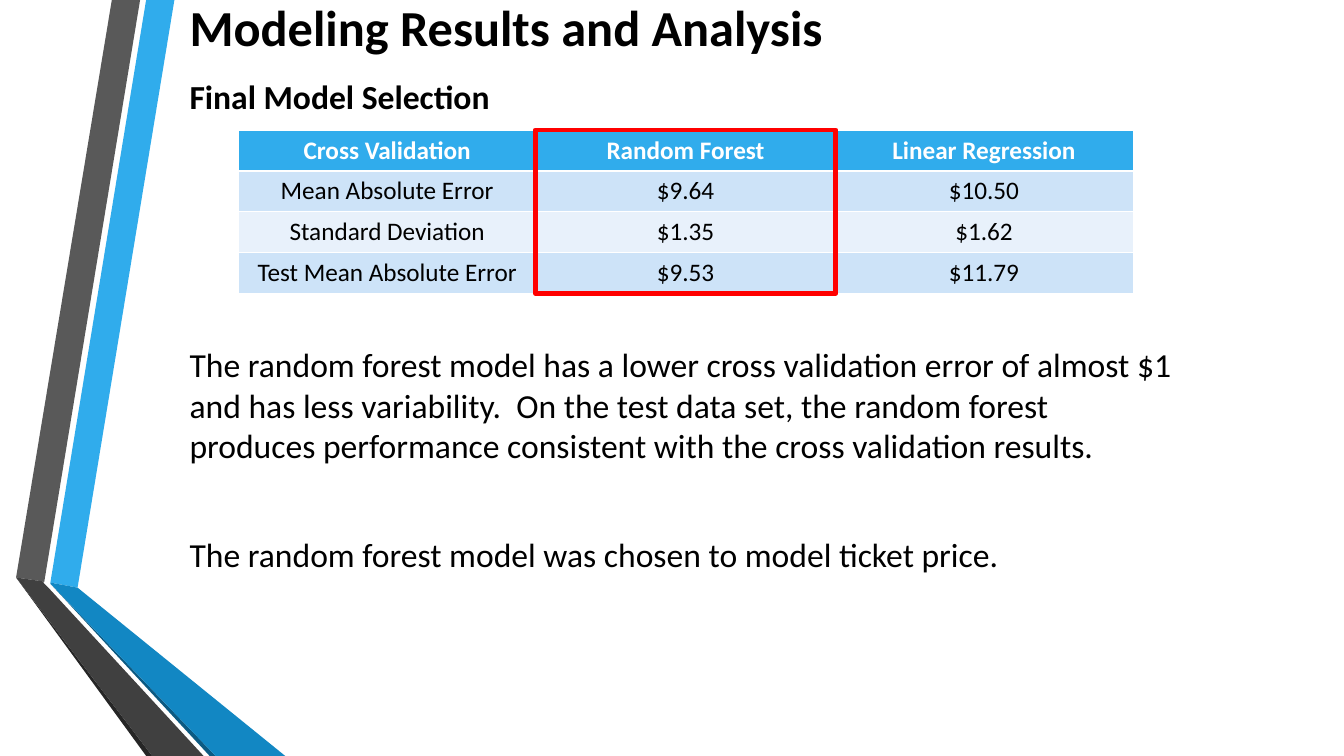
import pptx
import pptx.util
import pptx.dml.color
import pptx.enum.shapes
import pptx.enum.text
import lxml.etree

Inches, Pt = pptx.util.Inches, pptx.util.Pt

FONT = "Calibri"
COLORS = {
    "black": "000000", "white": "FFFFFF", "red": "FF0000",
    "blue": "30ACEC", "mid_blue": "1287C3", "deep_blue": "0C5A82",
    "gray": "595959", "dark_gray": "404040", "shadow_gray": "262626",
    "band": "CDE3F8", "light_band": "E8F1FB",
}

TITLE = "Modeling Results and Analysis"
BODY = [
    ("Final Model Selection", True, 0),
    ("The random forest model has a lower cross validation error of almost $1 "
     "and has less variability.  On the test data set, the random forest "
     "produces performance consistent with the cross validation results.", False, 163),
    ("The random forest model was chosen to model ticket price.", False, 49.5),
]
RESULTS = [
    ("Cross Validation", "Random Forest", "Linear Regression"),
    ("Mean Absolute Error", "$9.64", "$10.50"),
    ("Standard Deviation", "$1.35", "$1.62"),
    ("Test Mean Absolute Error", "$9.53", "$11.79"),
]
ROW_FILLS = ["blue", "band", "light_band", "band"]
RIBBONS = [
    ("blue", [(0.5, 5.78), (0.77, 5.83), (1.73, 0), (1.45, 0)]),
    ("gray", [(1.39, 0), (1.11, 0), (0.16, 5.73), (0.44, 5.77)]),
    ("shadow_gray", [(0.16, 5.73), (1.45, 7.5), (1.51, 7.5)]),
    ("deep_blue", [(0.5, 5.79), (2.08, 7.5), (2.14, 7.5)]),
    ("mid_blue", [(0.5, 5.79), (2.14, 7.5), (2.83, 7.5), (0.77, 5.83), (0.5, 5.78)]),
    ("dark_gray", [(2.02, 7.5), (0.48, 5.83), (0.43, 5.78), (0.44, 5.77),
                   (0.16, 5.73), (1.51, 7.5)]),
]
TABLE_LEFT, TABLE_TOP, COL_WIDTH, ROW_HEIGHT = 2.36, 1.29, 2.96, 0.405


def color(name):
    return pptx.dml.color.RGBColor.from_string(COLORS[name])


def fill(target, name):
    target.fill.solid()
    target.fill.fore_color.rgb = color(name)


def add_run(p, text, size, bold=False, name="black"):
    r = p.add_run()
    r.text = text
    r.font.name = FONT
    r.font.size = Pt(size)
    r.font.bold = bold
    r.font.color.rgb = color(name)


def place(sp, left, top, width, height, anchor, margin_top, margin_bottom):
    sp.left, sp.top, sp.width, sp.height = map(Inches, (left, top, width, height))
    tf = sp.text_frame
    tf.word_wrap = True
    tf.auto_size = pptx.enum.text.MSO_AUTO_SIZE.NONE
    tf.vertical_anchor = anchor
    tf.margin_top, tf.margin_bottom = Inches(margin_top), Inches(margin_bottom)
    return tf


def add_ribbon(s, name, points):
    corners = [(Inches(x), Inches(y)) for x, y in points]
    builder = s.shapes.build_freeform(*corners[0])
    builder.add_line_segments(corners[1:], close=True)
    sp = builder.convert_to_shape()
    fill(sp, name)
    sp.line.fill.background()
    sp.shadow.inherit = False


def add_title(s):
    tf = place(s.shapes.title, 1.78, 0, 11.27, 0.58,
               pptx.enum.text.MSO_ANCHOR.BOTTOM, 0, 0.02)
    p = tf.paragraphs[0]
    p.alignment = pptx.enum.text.PP_ALIGN.LEFT
    add_run(p, TITLE, 36, True)


def add_body(s):
    tf = place(s.placeholders[1], 1.78, 0.68, 10.04, 6.51,
               pptx.enum.text.MSO_ANCHOR.TOP, 0.07, 0.05)
    for i, (text, bold, gap) in enumerate(BODY):
        p = tf.add_paragraph() if i else tf.paragraphs[0]
        p.space_before, p.space_after = Pt(gap), Pt(0)
        pPr = p._p.get_or_add_pPr()
        pPr.set("marL", "0")
        pPr.set("indent", "0")
        lxml.etree.SubElement(pPr, pptx.oxml.ns.qn("a:buNone"))
        add_run(p, text, 24, bold)


def add_results(s):
    rows, cols = len(RESULTS), len(RESULTS[0])
    table = s.shapes.add_table(
        rows, cols, Inches(TABLE_LEFT), Inches(TABLE_TOP),
        Inches(cols * COL_WIDTH), Inches(rows * ROW_HEIGHT)).table
    for i, row in enumerate(RESULTS):
        for j, text in enumerate(row):
            cell = table.cell(i, j)
            fill(cell, ROW_FILLS[i])
            p = cell.text_frame.paragraphs[0]
            p.alignment = pptx.enum.text.PP_ALIGN.CENTER
            add_run(p, text, 18, i == 0, "black" if i else "white")

    sp = s.shapes.add_shape(
        pptx.enum.shapes.MSO_SHAPE.RECTANGLE,
        Inches(TABLE_LEFT + COL_WIDTH - 0.01), Inches(TABLE_TOP),
        Inches(COL_WIDTH + 0.02), Inches(rows * ROW_HEIGHT))
    sp.fill.background()
    sp.line.color.rgb = color("red")
    sp.line.width = Pt(3.5)
    sp.shadow.inherit = False


def main():
    prs = pptx.Presentation()
    prs.slide_width, prs.slide_height = Inches(13.33), Inches(7.5)
    s = prs.slides.add_slide(prs.slide_layouts[1])
    for name, points in RIBBONS:
        add_ribbon(s, name, points)
    add_title(s)
    add_body(s)
    add_results(s)
    prs.save("out.pptx")


if __name__ == "__main__":
    main()
